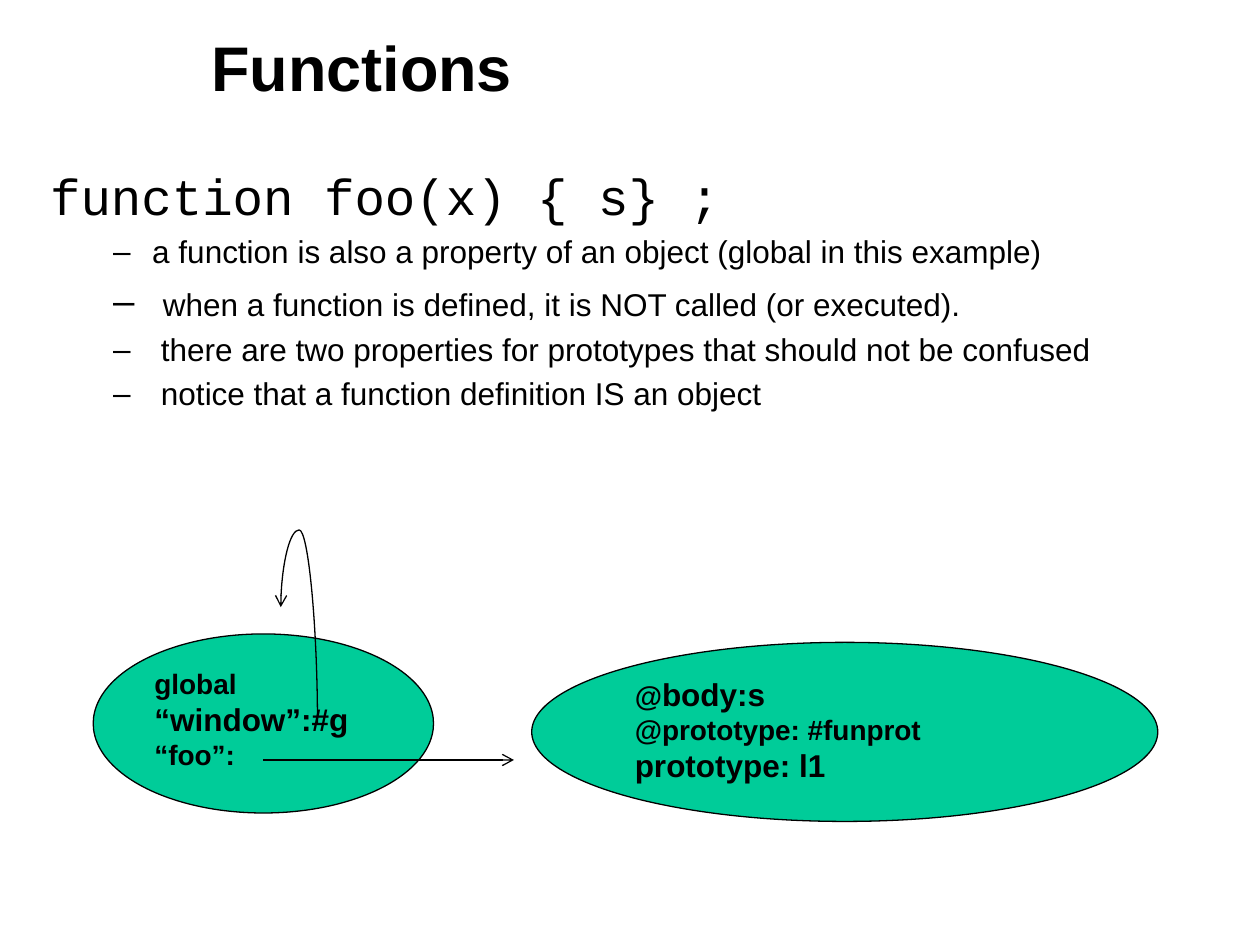
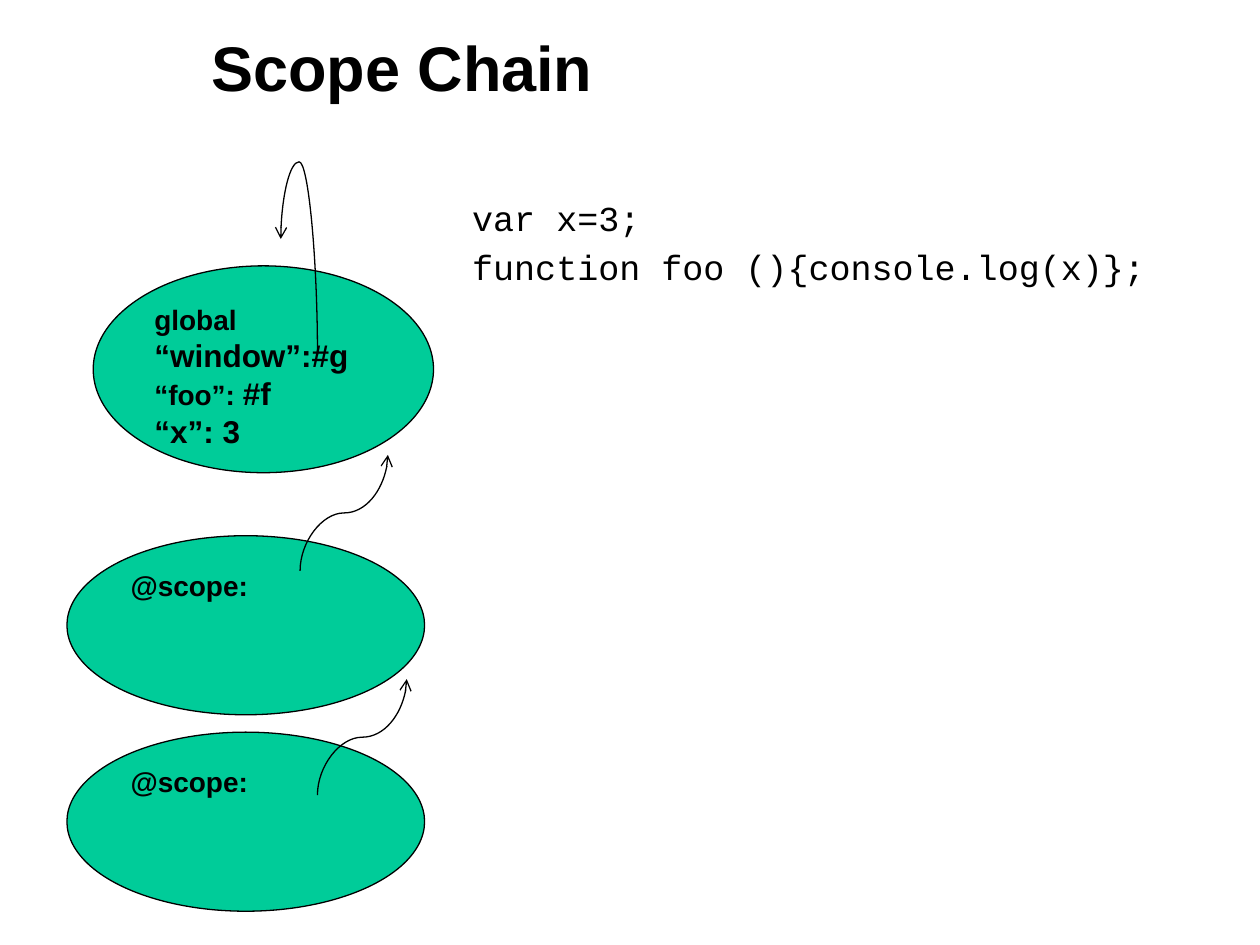
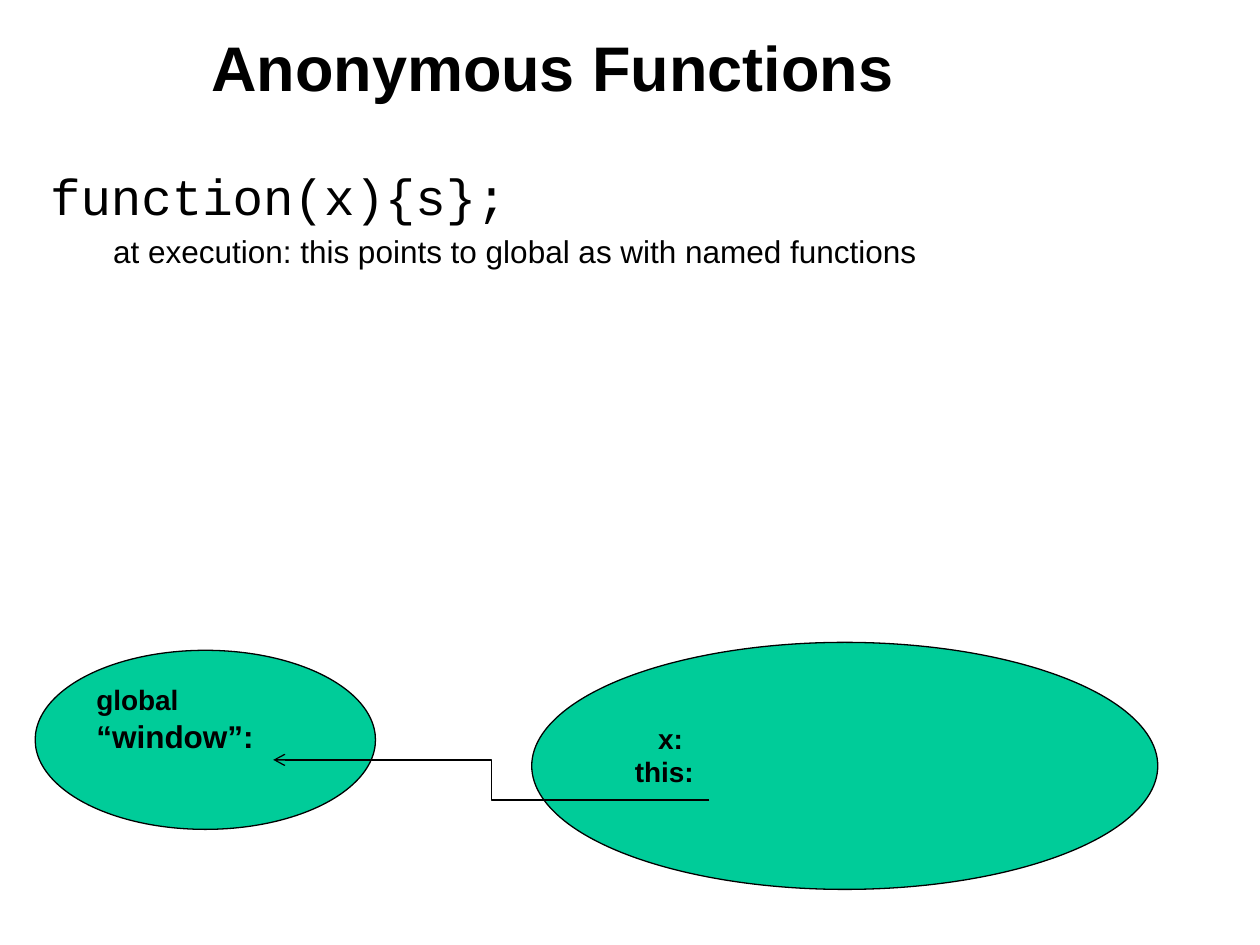
from lxml import etree
from pptx import Presentation
from pptx import util as u
from pptx.dml.color import RGBColor
from pptx.enum import shapes, text
from pptx.oxml import ns

COLORS = {"ink": "000000", "object": "00CC99"}
SANS, MONO = "Arial", "Courier New"
LINE_WIDTH = u.Pt(0.75)
CODE_INDENT = (0.94, -0.94)
POINT_INDENT = (2.06, -0.79)
BODY_BOX = (0.76, 3.2, 24.03, 13.11)
OBJECT_HEIGHT = 3.61
GLOBAL_WIDTH = 6.86
FUNCTION_LEFT, FUNCTION_TOP, FUNCTION_WIDTH = 10.72, 12.95, 12.62
LOOP_BEND = 1.665


def color(name):
    return RGBColor.from_string(COLORS[name])


def lengths(values):
    return [u.Cm(value) for value in values]


def add_runs(paragraph, runs, font=SANS, bold=False):
    for words, size in runs:
        run = paragraph.add_run()
        run.text = words
        run.font.name = font
        run.font.size = u.Pt(size)
        run.font.bold = bold
        run.font.color.rgb = color("ink")


def set_insets(frame, side, top=0.13):
    frame.margin_left = frame.margin_right = u.Cm(side)
    frame.margin_top, frame.margin_bottom = u.Cm(top), u.Cm(0.13)
    frame.word_wrap = True


def add_frame(slide, box):
    frame = slide.shapes.add_textbox(*lengths(box)).text_frame
    set_insets(frame, 0.25)
    return frame


def next_paragraph(frame, index):
    return frame.add_paragraph() if index else frame.paragraphs[0]


def add_title(slide, words):
    frame = add_frame(slide, (4.01, 0.2, 20.98, 2.29))
    frame.vertical_anchor = text.MSO_ANCHOR.MIDDLE
    add_runs(frame.paragraphs[0], [(words, 36)], bold=True)


def set_layout(paragraph, indent, bullet=None):
    layout = paragraph._p.get_or_add_pPr()
    left, first = lengths(indent)
    layout.set("marL", str(left))
    layout.set("indent", str(first))
    before = etree.SubElement(layout, ns.qn("a:spcBef"))
    etree.SubElement(before, ns.qn("a:spcPct")).set("val", "20000")
    if bullet:
        etree.SubElement(layout, ns.qn("a:buFont")).set("typeface", SANS)
        etree.SubElement(layout, ns.qn("a:buChar")).set("char", bullet)


def add_body(slide, box, code, code_size, points=(), bullet=None):
    frame = add_frame(slide, box)
    for index, line in enumerate(code):
        paragraph = next_paragraph(frame, index)
        set_layout(paragraph, CODE_INDENT)
        add_runs(paragraph, [(line, code_size)], MONO)
    for runs in points:
        paragraph = frame.add_paragraph()
        paragraph.level = 1
        set_layout(paragraph, POINT_INDENT, bullet)
        add_runs(paragraph, runs)


def add_object(slide, box, properties, top_inset=0.13):
    ellipse = slide.shapes.add_shape(shapes.MSO_SHAPE.OVAL, *lengths(box))
    ellipse.shadow.inherit = False
    ellipse.fill.solid()
    ellipse.fill.fore_color.rgb = color("object")
    ellipse.line.color.rgb = color("ink")
    ellipse.line.width = LINE_WIDTH
    frame = ellipse.text_frame
    set_insets(frame, 0.23, top_inset)
    frame.vertical_anchor = text.MSO_ANCHOR.TOP
    for index, runs in enumerate(properties):
        paragraph = next_paragraph(frame, index)
        paragraph.alignment = text.PP_ALIGN.LEFT
        add_runs(paragraph, runs, bold=True)
    return frame


def add_arrow(slide, start, end, kind=shapes.MSO_CONNECTOR.STRAIGHT):
    arrow = slide.shapes.add_connector(kind, *lengths(start + end))
    arrow.line.color.rgb = color("ink")
    arrow.line.width = LINE_WIDTH
    outline = arrow.line._get_or_add_ln()
    etree.SubElement(outline, ns.qn("a:tailEnd")).set("type", "arrow")
    etree.SubElement(arrow._element.spPr, ns.qn("a:effectLst"))
    return arrow


def add_rising_curve(slide, start, end, bend=0.5):
    shift, rise = end[0] - start[0], start[1] - end[1]
    middle_x, middle_y = (start[0] + end[0]) / 2, (start[1] + end[1]) / 2
    curve = add_arrow(slide, (middle_x - rise / 2, middle_y - shift / 2),
                      (middle_x + rise / 2, middle_y + shift / 2),
                      shapes.MSO_CONNECTOR.CURVE)
    properties = curve._element.spPr
    properties.find(ns.qn("a:xfrm")).set("rot", str(270 * 60000))
    adjustments = properties.find(ns.qn("a:prstGeom")).get_or_add_avLst()
    guide = etree.SubElement(adjustments, ns.qn("a:gd"))
    guide.set("name", "adj1")
    guide.set("fmla", f"val {round(bend * 100000)}")


def add_window_loop(slide, bottom):
    add_rising_curve(slide, (6.4, bottom), (5.66, bottom - 2.34), LOOP_BEND)


def functions_slide(slide):
    add_body(slide, BODY_BOX, ["function foo(x) { s} ; "], 29, [
        [("a function is also a property of an object (global in this example)", 18)],
        [(" ", 22), ("when a function is defined, it is NOT called (or executed).", 18)],
        [(" there are two properties for prototypes that should not be confused", 18)],
        [(" notice that a function definition IS an object", 18)],
    ], "–")
    add_title(slide, "Functions")
    add_object(slide, (1.88, 12.78, GLOBAL_WIDTH, OBJECT_HEIGHT),
               [[("global", 16)], [("“window”:#g", 18)], [("“foo”:", 16)]])
    add_window_loop(slide, 14.58)
    add_object(slide, (FUNCTION_LEFT, FUNCTION_TOP, FUNCTION_WIDTH, OBJECT_HEIGHT),
               [[("@", 16), ("body:s", 18)], [("@prototype: #funprot", 16)],
                [("prototype: l1", 18)]])
    add_arrow(slide, (5.31, 15.32), (10.36, 15.32))


def scope_chain_slide(slide):
    add_title(slide, "Scope Chain")
    add_body(slide, (9.27, 3.84, 15.52, 13.11),
             ["var x=3; ", "function foo (){console.log(x)}; "], 20)
    for top in (10.8, 14.76):
        add_object(slide, (1.35, top, 7.21, OBJECT_HEIGHT), [[("@scope:", 16)]])
    add_rising_curve(slide, (6.4, 16.03), (8.2, 13.69))
    add_rising_curve(slide, (6.05, 11.51), (7.82, 9.17))
    add_object(slide, (1.88, 5.36, GLOBAL_WIDTH, 4.17),
               [[("global", 16)], [("“window”:#g", 18)],
                [("“foo”: ", 16), ("#f", 18)], [("“x”: 3", 18)]])
    add_window_loop(slide, 7.16)


def anonymous_functions_slide(slide):
    add_body(slide, BODY_BOX, ["function(x){s}; "], 29,
             [[("at execution: this points to global as with named functions", 18)]])
    add_title(slide, "Anonymous Functions")
    add_object(slide, (0.71, 13.11, GLOBAL_WIDTH, OBJECT_HEIGHT),
               [[("global", 16)], [("“window”:", 18)]])
    call = add_object(slide, (FUNCTION_LEFT, FUNCTION_TOP, FUNCTION_WIDTH, 4.98),
                      [[("x:", 16)], [("this:", 16)]], top_inset=0.86)
    call.paragraphs[0]._p.get_or_add_pPr().set("marL", str(u.Cm(0.47)))
    add_arrow(slide, (14.3, 16.13), (5.51, 15.32), shapes.MSO_CONNECTOR.ELBOW)


def main():
    deck = Presentation()
    deck.slide_width, deck.slide_height = u.Cm(25.4), u.Cm(19.05)
    for build in (functions_slide, scope_chain_slide, anonymous_functions_slide):
        build(deck.slides.add_slide(deck.slide_layouts[6]))
    deck.save("out.pptx")


main()
